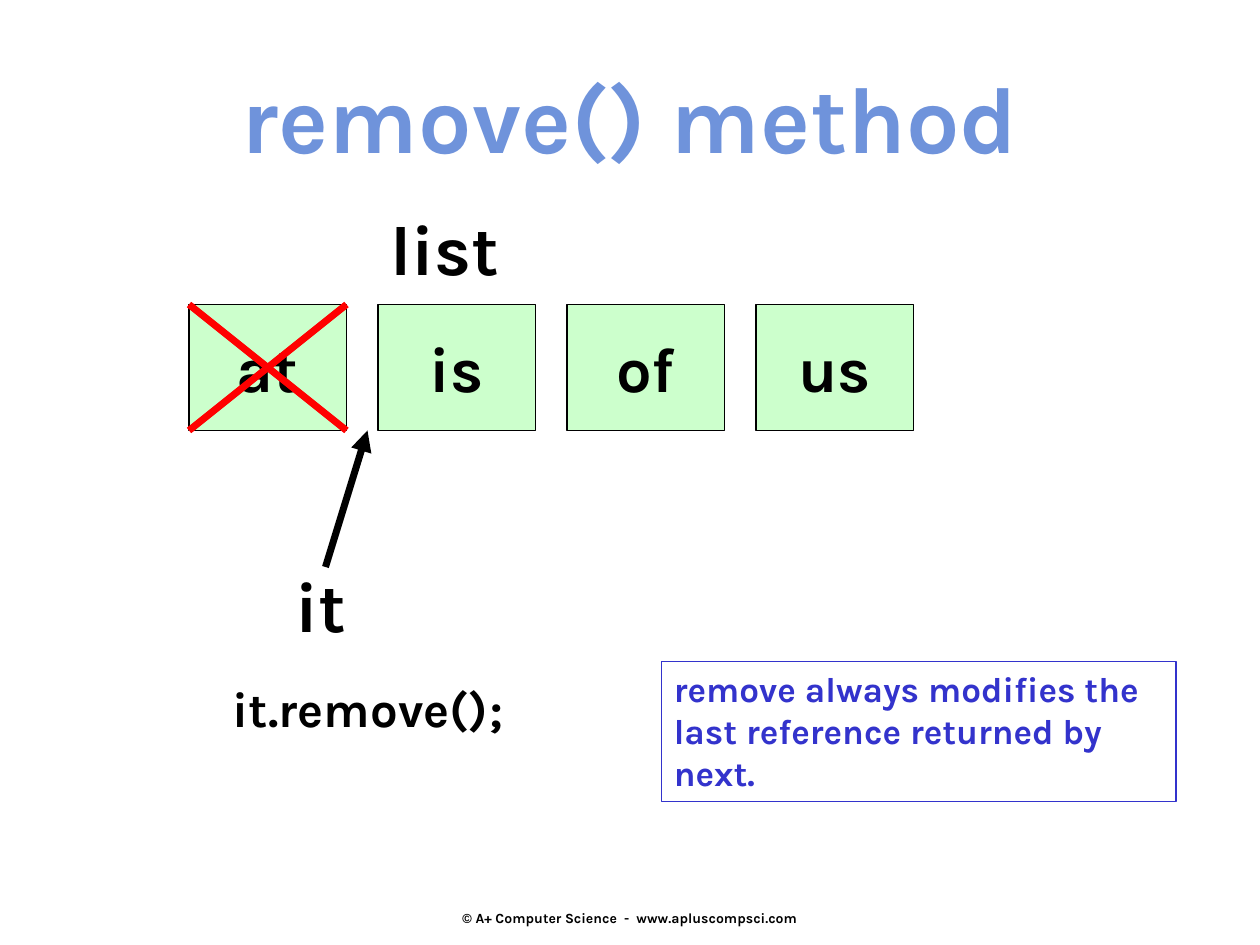
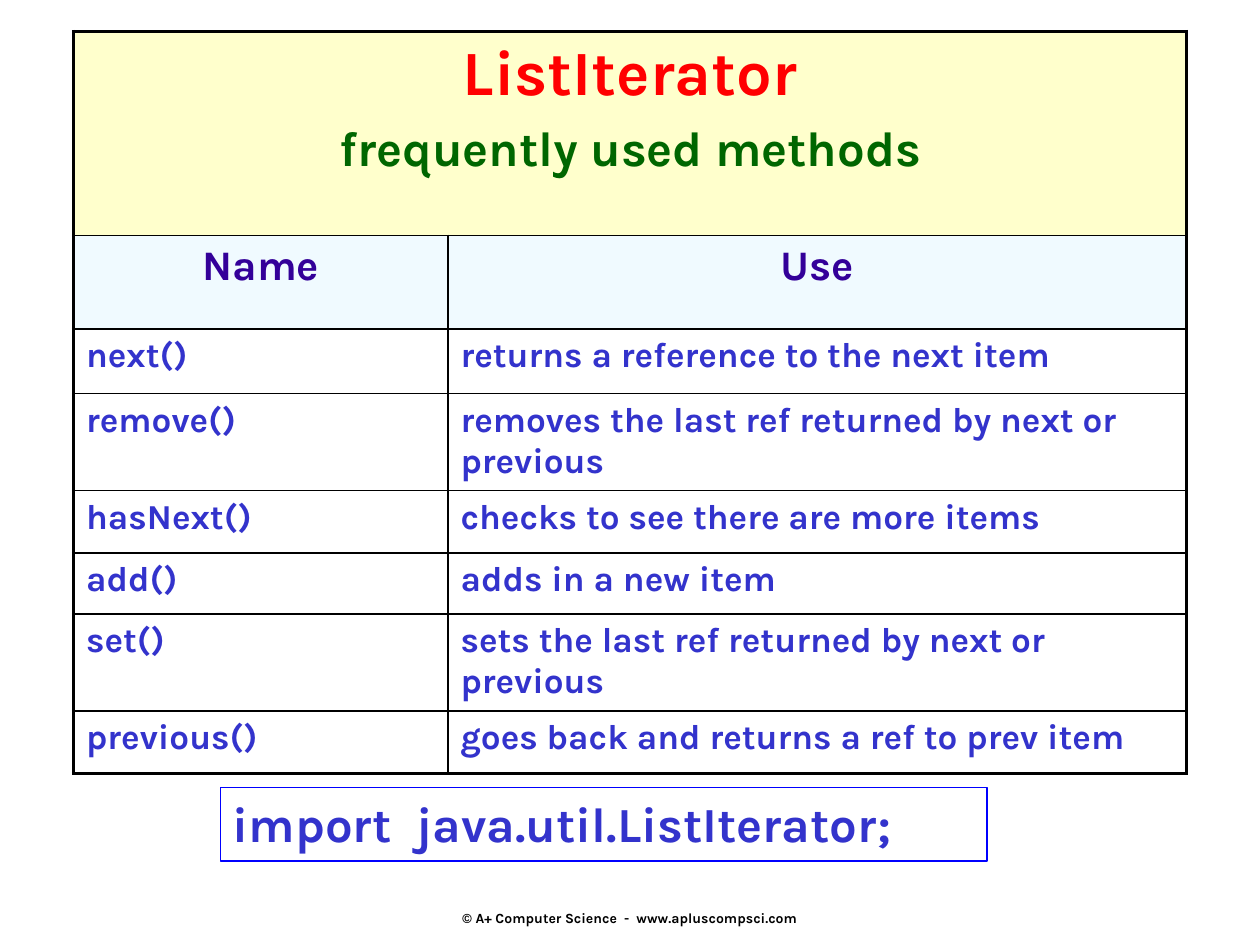
from dataclasses import dataclass
from lxml.etree import SubElement as Sub
from pptx import Presentation
from pptx.dml.color import RGBColor
from pptx.enum.shapes import MSO_CONNECTOR as Link, MSO_SHAPE as Form
from pptx.enum.text import MSO_ANCHOR as Anchor, PP_ALIGN as Align
from pptx.oxml.ns import qn
from pptx.util import Pt


@dataclass(frozen=True)
class Theme:
    font: str = "Karla"
    black: str = "000000"
    red: str = "FF0000"
    green: str = "006600"
    blue: str = "3333CC"
    frame: str = "0000FF"
    purple: str = "330099"
    title: str = "6F93DB"
    mint: str = "CCFFCC"
    cream: str = "FFFFCC"
    sky: str = "F0FAFF"
    huge: int = 54
    label: int = 40
    big: int = 36
    code: int = 28
    head: int = 24
    body: int = 20
    tiny: int = 8
    thin: float = 0.75
    inner: float = 1
    outer: float = 2.25
    bold: float = 4


FOOTER = "© A+ Computer Science  -  www.apluscompsci.com"
METHODS = [
    ("next()", "returns a reference to the next item"),
    ("remove()", "removes the last ref returned by next or previous"),
    ("hasNext()", "checks to see there are more items"),
    ("add()", "adds in a new item"),
    ("set()", "sets the last ref returned by next or previous"),
    ("previous()", "goes back and returns a ref to prev item"),
]


def rgb(code):
    return RGBColor.from_string(code)


class Deck:
    def __init__(self, theme):
        self.theme = theme
        self.show = Presentation()
        self.show.slide_width, self.show.slide_height = Pt(720), Pt(540)

    def start(self):
        """Add a blank slide with the shared footer."""
        self.slide = self.show.slides.add_slide(self.show.slide_layouts[6])
        self.text(FOOTER, (246, 515.5, 228, 18), self.theme.tiny,
                  align=Align.CENTER, anchor=Anchor.MIDDLE)

    def style(self, para, size, color, align):
        para.alignment = align
        font = para.font
        font.name, font.size, font.bold = self.theme.font, Pt(size), True
        font.color.rgb = rgb(color)

    def fill(self, frame, words, size, color, align, anchor, wrap):
        frame.word_wrap, frame.vertical_anchor = wrap, anchor
        frame.text = words
        self.style(frame.paragraphs[0], size, color or self.theme.black, align)

    def text(self, words, area, size, color=None, align=Align.LEFT,
             anchor=Anchor.TOP, wrap=False):
        box = self.slide.shapes.add_textbox(*map(Pt, area))
        self.fill(box.text_frame, words, size, color, align, anchor, wrap)

    def box(self, words, area, size, color=None, back=None, edge=None,
            width=None, align=Align.LEFT, anchor=Anchor.TOP):
        shape = self.slide.shapes.add_shape(Form.RECTANGLE, *map(Pt, area))
        shape.shadow.inherit = False
        if back:
            shape.fill.solid()
            shape.fill.fore_color.rgb = rgb(back)
        else:
            shape.fill.background()
        shape.line.color.rgb = rgb(edge or self.theme.black)
        shape.line.width = Pt(width or self.theme.thin)
        self.fill(shape.text_frame, words, size, color, align, anchor, True)

    def line(self, start, end, color, arrow=False):
        link = self.slide.shapes.add_connector(
            Link.STRAIGHT, *map(Pt, start + end))
        link.line.color.rgb = rgb(color)
        link.line.width = Pt(self.theme.bold)
        props = link._element.spPr
        if arrow:
            Sub(props.find(qn("a:ln")), qn("a:tailEnd"), type="triangle")
        Sub(props, qn("a:effectLst"))

    def edge(self, cell, side, width):
        props = cell._tc.get_or_add_tcPr()
        line = Sub(props, qn("a:ln" + side), w=str(Pt(width)))
        paint = Sub(line, qn("a:solidFill"))
        Sub(paint, qn("a:srgbClr"), val=self.theme.black)

    def cell(self, cell, lines, align, back=None, outer=""):
        """Fill a cell with (words, size, color) lines; outer lists thick sides."""
        for side in "LRTB":
            thick = side in outer
            self.edge(cell, side, self.theme.outer if thick else self.theme.inner)
        if back:
            cell.fill.solid()
            cell.fill.fore_color.rgb = rgb(back)
        else:
            cell.fill.background()
        frame = cell.text_frame
        for i, (words, size, color) in enumerate(lines):
            para = frame.add_paragraph() if i else frame.paragraphs[0]
            para.text = words
            self.style(para, size, color, align)
            if i:
                para.space_before = Pt(size * 0.2)

    def table(self, spot, cols, rows):
        """Each row is (height, fill, alignment, cells); a lone cell spans all."""
        area = spot + (sum(cols), sum(row[0] for row in rows))
        grid = self.slide.shapes.add_table(
            len(rows), len(cols), *map(Pt, area)).table
        grid.first_row = grid.horz_banding = False
        for col, width in zip(grid.columns, cols):
            col.width = Pt(width)
        for r, (high, back, align, cells) in enumerate(rows):
            grid.rows[r].height = Pt(high)
            if len(cells) == 1:
                grid.cell(r, 0).merge(grid.cell(r, len(cols) - 1))
            for c, lines in enumerate(cells):
                outer = (("L" if c == 0 else "")
                         + ("R" if c == len(cells) - 1 else "")
                         + ("T" if r == 0 else "")
                         + ("B" if r == len(rows) - 1 else ""))
                self.cell(grid.cell(r, c), lines, align, back, outer)


def draw_list(deck):
    t = deck.theme
    deck.start()
    deck.text("it", (162, 318, 60, 55), t.label)
    deck.line((186, 324), (210, 246), t.black, arrow=True)
    deck.text("it.remove();", (126, 384, 516, 65), t.code, wrap=True)
    deck.text("list", (216, 114, 100, 55), t.label)
    deck.box("remove always modifies the last reference returned by next.",
             (378, 378, 294, 80), t.body, t.blue, edge=t.blue)
    left, top, wide, high, step = 108, 174, 90, 72, 108
    for i, word in enumerate(("at", "is", "of", "us")):
        deck.box(word, (left + i * step, top, wide, high), t.big, back=t.mint,
                 align=Align.CENTER, anchor=Anchor.MIDDLE)
    right, low = left + wide, top + high
    deck.line((left, top), (right, low), t.red)
    deck.line((right, top), (left, low), t.red)
    deck.text("remove() method", (0, 30, 720, 73), t.huge, t.title,
              Align.CENTER, wrap=True)


def draw_table(deck):
    t = deck.theme
    deck.start()
    title = [("ListIterator", t.big, t.red),
             ("frequently used methods", t.code, t.green)]
    heads = [[(word, t.head, t.purple)] for word in ("Name", "Use")]
    rows = [(116.5, t.cream, Align.CENTER, [title]),
            (53.5, t.sky, Align.CENTER, heads)]
    highs = (37, 55.5, 35.5, 35, 55.5, 35.5)
    for high, pair in zip(highs, METHODS):
        cells = [[(words, t.body, t.blue)] for words in pair]
        rows.append((high, None, Align.LEFT, cells))
    deck.table((42, 18), (214, 422), rows)
    deck.box("import  java.util.ListIterator;", (126, 450, 438, 42), t.code,
             t.blue, edge=t.frame, width=t.inner)


def main():
    deck = Deck(Theme())
    draw_list(deck)
    draw_table(deck)
    deck.show.save("out.pptx")


if __name__ == "__main__":
    main()
